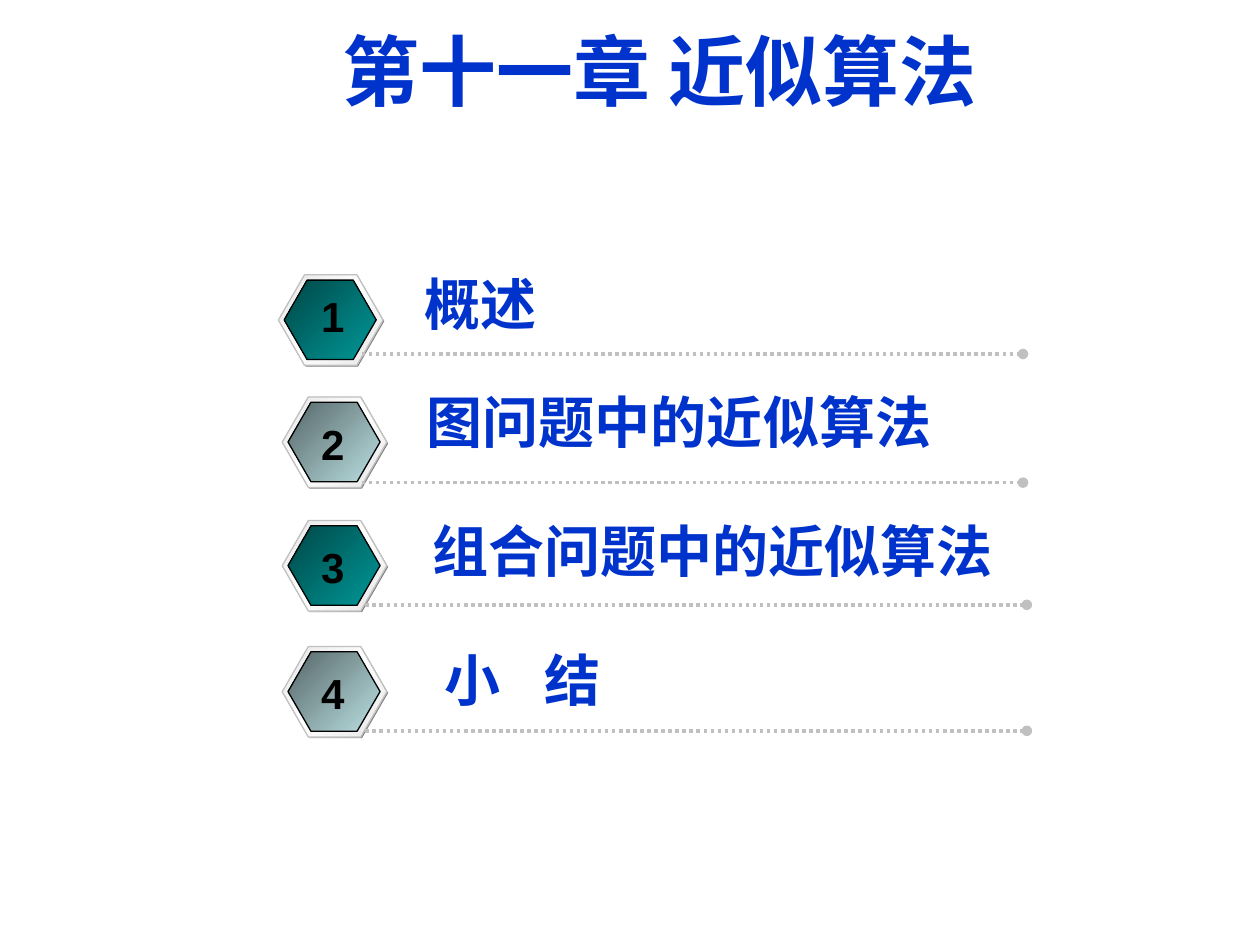
from copy import deepcopy
from pptx import Presentation
from pptx.dml.color import RGBColor
from pptx.enum.dml import MSO_LINE
from pptx.enum.shapes import MSO_CONNECTOR, MSO_SHAPE
from pptx.enum.text import MSO_ANCHOR, PP_ALIGN
from pptx.oxml.ns import qn
from pptx.util import Pt
from lxml.etree import SubElement

COLORS = {
    "blue": "0033CC",
    "black": "000000",
    "shadow": "808080",
    "silver": "C0C0C0",
    "rim": "E6E6E6",
    "white": "FFFFFF",
    "teal": "009999",
    "dark_teal": "004646",
    "pale": "BBE0E3",
    "slate": "566768",
}
FACES = [("teal", "dark_teal"), ("pale", "slate")]
TITLE_FORMAT = {"size": Pt(44), "bold": True, "name": "Noto Sans CJK SC"}
LABEL_FORMAT = {"size": Pt(32), "bold": True, "name": "Arial"}
NUMBER_FORMAT = {"size": Pt(24), "bold": True, "name": "Arial"}
TITLE_MARGINS = {"margin_left": 0, "margin_top": 0, "margin_right": 0, "margin_bottom": Pt(3)}
LABEL_MARGINS = {"margin_bottom": Pt(6)}
ROWS = [
    {"badge": (159.1, 157), "rule": (206.6, 202.3), "label": (235.4, 151.2, 317.5), "words": ["概述"]},
    {"badge": (161.3, 226.8), "rule": (206.6, 275.8), "label": (236.9, 218.9, 355.7), "words": ["图问题中的近似算法"]},
    {"badge": (161.3, 297.4), "rule": (208.8, 345.6), "label": (239.8, 292.3, 352.8), "words": ["组合问题中的近似算法"]},
    {"badge": (161.3, 369.4), "rule": (208.8, 417.6), "label": (247, 366.5, 317.5), "words": ["小", "结"]},
]


def color(name):
    return RGBColor.from_string(COLORS[name])


def set_all(target, values):
    for name, value in values.items():
        setattr(target, name, value)


def add_text(page, box, words, text_format, ink, margins, wrap=True, align=PP_ALIGN.LEFT):
    frame = page.shapes.add_textbox(*map(Pt, box)).text_frame
    set_all(frame, {"word_wrap": wrap, "vertical_anchor": MSO_ANCHOR.MIDDLE, **margins})
    para = frame.paragraphs[0]
    para.alignment = align
    pieces = [words[0]]
    for word in words[1:]:
        pieces += [" ", word]
    for piece in pieces:
        span = para.add_run()
        span.text = piece
        set_all(span.font, text_format)
        span.font.color.rgb = color(ink)
        properties = span._r.get_or_add_rPr()
        SubElement(properties, qn("a:ea")).set("typeface", "Noto Sans CJK SC")
        if piece == " ":
            properties.set("spc", "1780")


def fill_gradient(shape, names):
    fill = shape.fill
    fill.gradient()
    fill.gradient_angle = 135
    stop_list = shape._element.spPr.find(".//" + qn("a:gsLst"))
    for _ in names[2:]:
        stop_list.append(deepcopy(stop_list[-1]))
    for index, (stop, name) in enumerate(zip(fill.gradient_stops, names)):
        stop.position = index / (len(names) - 1)
        stop.color.rgb = color(name)


def add_hexagon(group, box, fills, outline=None):
    shape = group.shapes.add_shape(MSO_SHAPE.HEXAGON, *map(Pt, box))
    shape.shadow.inherit = False
    shape.adjustments[0] = 0.289
    if len(fills) > 1:
        fill_gradient(shape, fills)
    else:
        shape.fill.solid()
        shape.fill.fore_color.rgb = color(fills[0])
    if outline:
        shape.line.color.rgb = color(outline)
        shape.line.width = Pt(0.75)
    else:
        shape.line.fill.background()


def add_badge(page, left, top, face):
    group = page.shapes.add_group_shape()
    add_hexagon(group, (left + 0.7, top + 0.7, 59.8, 51.8), ["shadow"])
    add_hexagon(group, (left, top, 59.8, 51.8), ["rim", "white", "rim"], "silver")
    add_hexagon(group, (left + 3.3, top + 3.1, 52.6, 45.4), face, "black")


def add_rule(page, left, top, width):
    rule = page.shapes.add_connector(
        MSO_CONNECTOR.STRAIGHT, Pt(left), Pt(top), Pt(left + width), Pt(top)
    )
    rule.line.color.rgb = color("silver")
    set_all(rule.line, {"width": Pt(2), "dash_style": MSO_LINE.ROUND_DOT})
    SubElement(rule.line._get_or_add_ln(), qn("a:tailEnd")).set("type", "oval")
    SubElement(rule._element.spPr, qn("a:effectLst"))


def add_row(page, number, row):
    rule_left, rule_top = row["rule"]
    add_badge(page, *row["badge"], FACES[(number - 1) % 2])
    add_rule(page, rule_left, rule_top, 378)
    number_box = (176.4, rule_top - 40, 27.4, 36)
    add_text(page, number_box, [str(number)], NUMBER_FORMAT, "black", {}, False, PP_ALIGN.CENTER)
    left, top, width = row["label"]
    add_text(page, (left, top, width, 46), row["words"], LABEL_FORMAT, "blue", LABEL_MARGINS)


def main():
    deck = Presentation()
    set_all(deck, {"slide_width": Pt(720), "slide_height": Pt(540)})
    page = deck.slides.add_slide(deck.slide_layouts[6])
    title_box = (195.8, 15.1, 481.7, 52.6)
    add_text(page, title_box, ["第十一章 近似算法"], TITLE_FORMAT, "blue", TITLE_MARGINS)
    for number, row in enumerate(ROWS, 1):
        add_row(page, number, row)
    deck.save("out.pptx")


if __name__ == "__main__":
    main()
